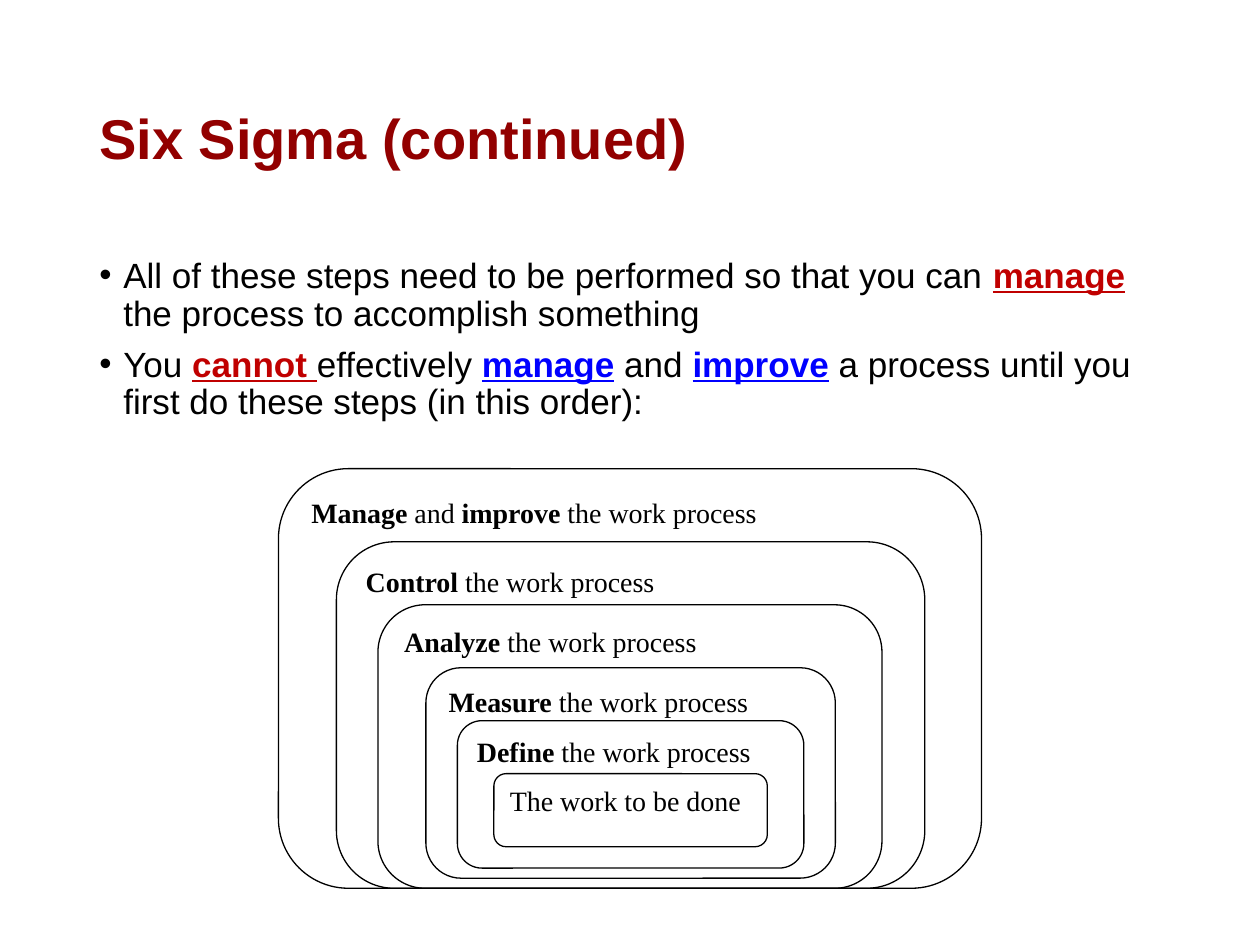
from lxml.etree import SubElement
from pptx import Presentation
from pptx.dml.color import RGBColor
from pptx.enum.shapes import MSO_SHAPE as Shape
from pptx.enum.text import MSO_ANCHOR as Anchor, PP_ALIGN as Align
from pptx.oxml.ns import qn
from pptx.util import Inches, Pt

BLACK, MAROON, RED, BLUE = "000000", "920000", "C00000", "0000FF"
LEFT, WIDTH = 0.69, 8.62
REST = " the work process"

# Innermost first: left, top, width, height, then (text, bold) spans
LAYERS = [
    (3.92, 6.14, 2.17, 0.58, [("The work to be done", False)]),
    (3.63, 5.72, 2.75, 1.17, [("Define", True), (REST, False)]),
    (3.38, 5.3, 3.25, 1.67, [("Measure", True), (REST, False)]),
    (3, 4.8, 4, 2.25, [("Analyze", True), (REST, False)]),
    (2.67, 4.3, 4.67, 2.75, [("Control", True), (REST, False)]),
    (2.21, 3.72, 5.58, 3.33,
     [("Manage", True), (" and ", False), ("improve", True), (REST, False)]),
]

# Spans are (text, colour); coloured spans are bold and underlined
BULLETS = [
    [("All of these steps need to be performed so that you can ", BLACK),
     ("manage", RED),
     (" the process to accomplish something", BLACK)],
    [("You ", BLACK), ("cannot ", RED), ("effectively ", BLACK),
     ("manage", BLUE), (" and ", BLACK), ("improve", BLUE),
     (" a process until you first do these steps (in this order):", BLACK)],
]


def color(hex_value):
    return RGBColor.from_string(hex_value)


def set_font(para, name, size):
    para.font.name = name
    para.font.size = Pt(size)


def add_span(para, text, hex_value, bold=False, underline=False):
    span = para.add_run()
    span.text = text
    span.font.color.rgb = color(hex_value)
    span.font.bold = bold
    span.font.underline = underline


def add_text_frame(page, top, height):
    box = page.shapes.add_textbox(
        Inches(LEFT), Inches(top), Inches(WIDTH), Inches(height))
    box.text_frame.word_wrap = True
    return box.text_frame


def add_title(page, text):
    frame = add_text_frame(page, 0.4, 1.45)
    frame.vertical_anchor = Anchor.MIDDLE
    para = frame.paragraphs[0]
    para.line_spacing = 0.9
    set_font(para, "Arial", 32)
    add_span(para, text, MAROON, bold=True)


def make_bullet(para):
    props = para._p.get_or_add_pPr()
    props.set("marL", str(Inches(0.19)))
    props.set("indent", str(-Inches(0.19)))
    SubElement(props, qn("a:buFont"), typeface="Arial")
    SubElement(props, qn("a:buChar"), char="•")


def add_bullets(page, bullets):
    frame = add_text_frame(page, 2, 4.76)
    for index, spans in enumerate(bullets):
        para = frame.add_paragraph() if index else frame.paragraphs[0]
        make_bullet(para)
        para.line_spacing = 0.9
        para.space_before = Pt(7.5 if index else 0)
        set_font(para, "Arial", 20)
        for text, hex_value in spans:
            stressed = hex_value != BLACK
            add_span(para, text, hex_value, stressed, stressed)


def add_layer(page, left, top, width, height, spans):
    layer = page.shapes.add_shape(
        Shape.ROUNDED_RECTANGLE,
        Inches(left), Inches(top), Inches(width), Inches(height))
    layer.shadow.inherit = False
    layer.fill.background()
    layer.line.color.rgb = color(BLACK)
    layer.line.width = Pt(0.75)
    frame = layer.text_frame
    frame.word_wrap = True
    frame.vertical_anchor = Anchor.TOP
    para = frame.paragraphs[0]
    para.alignment = Align.LEFT
    set_font(para, "Times New Roman", 16)
    for text, bold in spans:
        add_span(para, text, BLACK, bold)


def main():
    deck = Presentation()
    deck.slide_width, deck.slide_height = Inches(10), Inches(7.5)
    page = deck.slides.add_slide(deck.slide_layouts[6])
    add_title(page, "Six Sigma (continued)")
    add_bullets(page, BULLETS)
    for layer in LAYERS:
        add_layer(page, *layer)
    deck.save("out.pptx")


if __name__ == "__main__":
    main()
